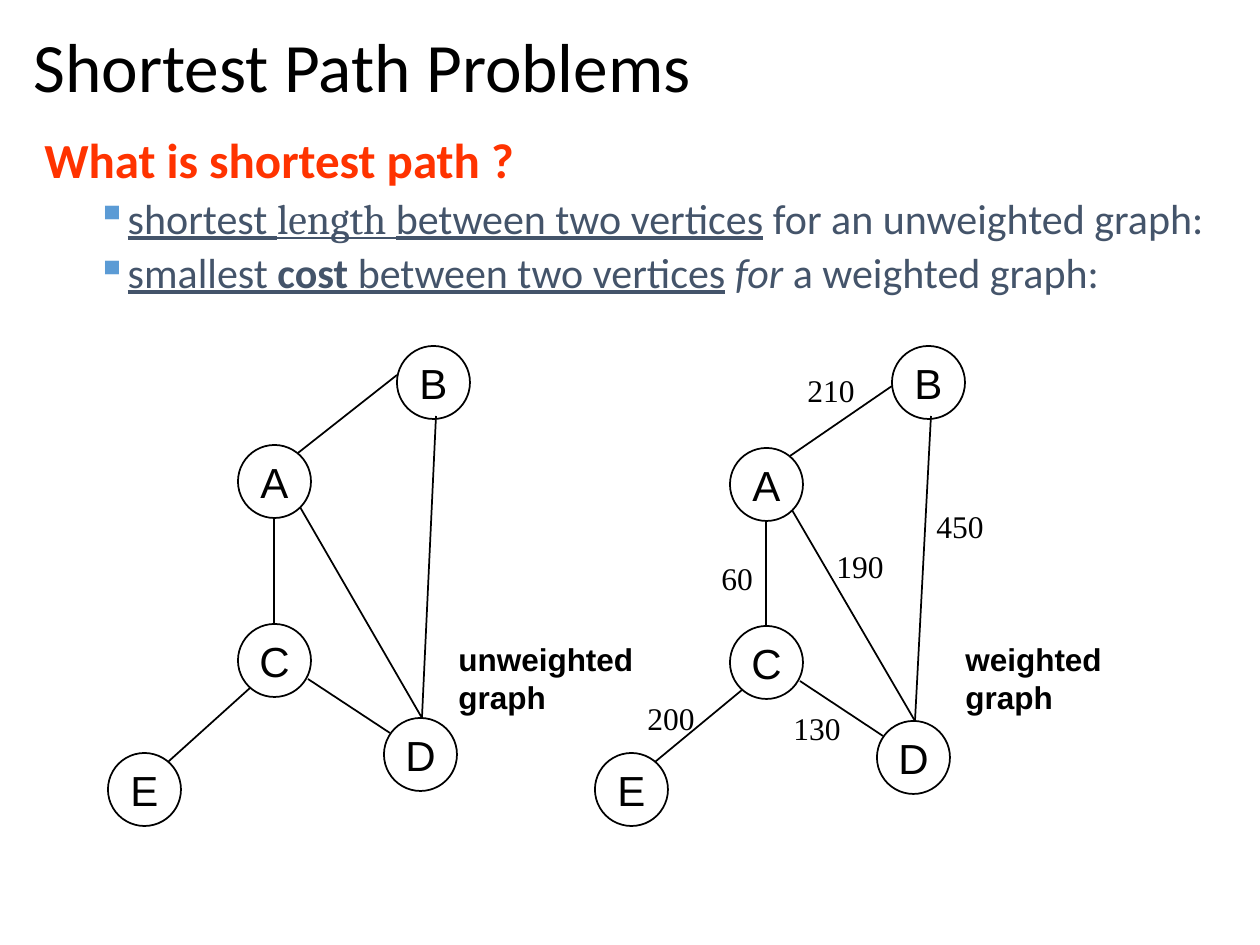
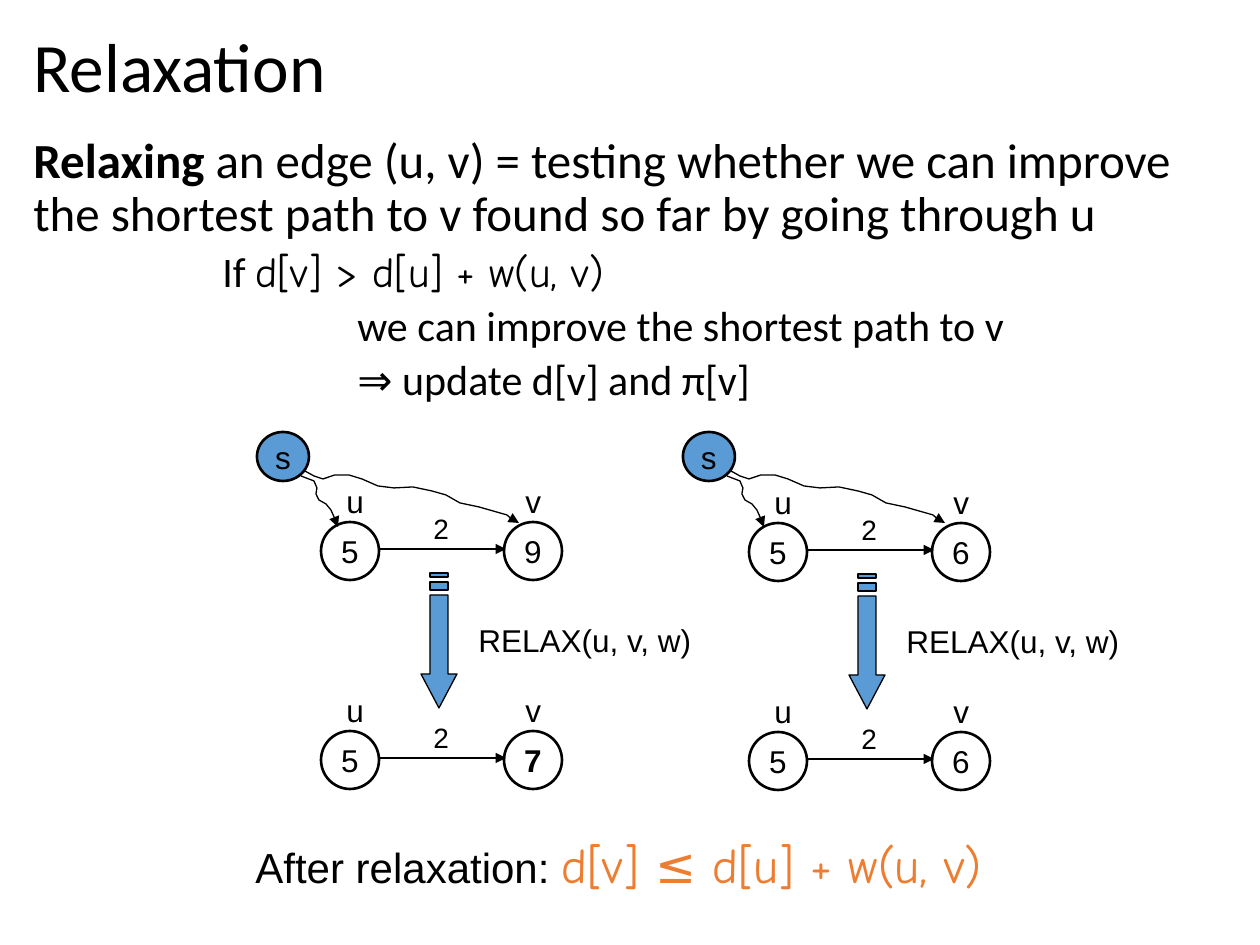
"""Build two slides on shortest paths and edge relaxation."""
from dataclasses import dataclass
from typing import Optional

from lxml.etree import SubElement
from pptx import Presentation
from pptx.dml.color import RGBColor
from pptx.enum.shapes import MSO_CONNECTOR as Connector, MSO_SHAPE as Shape
from pptx.enum.text import MSO_ANCHOR as Anchor, MSO_AUTO_SIZE as AutoSize, PP_ALIGN as Align
from pptx.oxml.ns import qn
from pptx.util import Emu, Pt

EMU_PER_PIXEL = 914400 / 126
Point = tuple[int, int]
Box = tuple[int, int, int, int]


@dataclass(frozen=True)
class Theme:
    black: str = "000000"
    slate: str = "44546A"
    red: str = "FF3300"
    blue: str = "5B9BD5"
    orange: str = "ED7D31"
    heading: str = "Calibri"
    label: str = "Arial"
    number: str = "Times New Roman"
    formula: str = "Comic Neue"
    accent: str = "Cambria"
    title_size: float = 39.6
    lead_size: float = 28
    body_size: float = 24
    label_size: float = 18
    small_size: float = 16
    thin: float = 0.75
    medium: float = 1
    thick: float = 1.5


THEME = Theme()


@dataclass(frozen=True)
class Style:
    face: Optional[str] = None
    size: Optional[float] = None
    color: Optional[str] = None
    bold: Optional[bool] = None
    italic: Optional[bool] = None
    underline: Optional[bool] = None


@dataclass(frozen=True)
class Span:
    text: str
    style: Style = Style()


@dataclass(frozen=True)
class Para:
    spans: list[Span]
    style: Style
    margin: int = 0
    before: float = 0
    line: float = 1
    bullet: bool = False
    align: Optional[Align] = None


@dataclass(frozen=True)
class Graph:
    nodes: dict[str, Point]
    b_port: Point
    caption: str
    caption_box: Box
    weights: tuple[tuple[str, int, int], ...] = ()


@dataclass(frozen=True)
class Panel:
    source: Point
    pair: Point
    before: str
    after: str
    after_bold: bool


NODE_LABEL = Style(THEME.label, THEME.body_size, THEME.black)
LABEL = Style(THEME.label, THEME.label_size, THEME.black)
SMALL_LABEL = Style(THEME.label, THEME.small_size, THEME.black)
CAPTION = Style(THEME.label, THEME.label_size, THEME.black, bold=True)
WEIGHT = Style(THEME.number, THEME.label_size, THEME.black)
TITLE = Style(THEME.heading, THEME.title_size, THEME.black)
LEAD = Style(THEME.heading, THEME.lead_size, THEME.black)
BODY = Style(THEME.heading, THEME.body_size, THEME.black)
QUESTION = Style(THEME.heading, THEME.lead_size, THEME.red, bold=True)
ITEM = Style(THEME.heading, THEME.body_size, THEME.slate)
UNDERLINED = Style(underline=True)
FORMULA = Style(face=THEME.formula)

TITLE_BOX = (21, 23, 1212, 93)
BODY_BOX = (21, 130, 1212, 722)
NODE_SIZE = 73
PAIR_SIZE = 58
PAIR_STEP = 183
ROW_STEP = 209

GRAPHS = [
    Graph({"A": (238, 445), "B": (397, 346), "C": (238, 624), "D": (384, 718), "E": (108, 753)},
          (0, 29), "unweighted graph", (446, 634, 208, 88)),
    Graph({"A": (730, 448), "B": (892, 346), "C": (730, 626), "D": (877, 721), "E": (595, 753)},
          (0, 40), "weighted graph", (953, 634, 198, 88),
          (("200", 635, 693), ("60", 709, 553), ("130", 781, 703),
           ("190", 824, 541), ("450", 924, 501), ("210", 795, 365))),
]
PANELS = [
    Panel((257, 432), (321, 522), "9", "7", True),
    Panel((683, 432), (749, 523), "6", "6", False),
]
SHORT_PATH = [(44, 44), (57, 49), (60, 56), (59, 62), (62, 68), (69, 72), (74, 78), (78, 87), (81, 95)]
LONG_PATH = [(48, 39), (57, 44), (66, 47), (78, 43), (92, 43), (105, 47), (121, 54), (137, 56), (156, 55),
             (175, 59), (189, 63), (203, 71), (222, 75), (250, 83), (258, 90), (262, 91)]


def px(length: float) -> Emu:
    """Turn pixels into EMU."""
    return Emu(round(length * EMU_PER_PIXEL))


def shift(origin: Point, offset: Point) -> Point:
    """Move a point by an offset."""
    return origin[0] + offset[0], origin[1] + offset[1]


def set_font(font, style: Style) -> None:
    """Apply the parts of a style that are given."""
    if style.face:
        font.name = style.face
    if style.size:
        font.size = Pt(style.size)
    if style.color:
        font.color.rgb = RGBColor.from_string(style.color)
    for name in ("bold", "italic", "underline"):
        if getattr(style, name) is not None:
            setattr(font, name, getattr(style, name))


def write(frame, paras: list[Para]) -> None:
    """Fill a text frame with paragraphs."""
    for index, para in enumerate(paras):
        paragraph = frame.add_paragraph() if index else frame.paragraphs[0]
        paragraph.alignment = para.align
        paragraph.line_spacing = para.line
        paragraph.space_before = Pt(para.before)
        properties = paragraph._p.get_or_add_pPr()
        properties.set("marL", str(px(para.margin)))
        properties.set("indent", "0")
        if para.bullet:
            color = SubElement(properties, qn("a:buClr"))
            SubElement(color, qn("a:srgbClr"), val=THEME.blue)
            SubElement(properties, qn("a:buChar"), char="▪")
        set_font(paragraph.font, para.style)
        for span in para.spans:
            run = paragraph.add_run()
            run.text = span.text
            set_font(run.font, span.style)


def add_text(page, box: Box, paras: list[Para], wrap: bool = True, anchor: Anchor = Anchor.TOP) -> None:
    """Add a text box."""
    frame = page.shapes.add_textbox(*map(px, box)).text_frame
    frame.word_wrap = wrap
    frame.auto_size = AutoSize.NONE if wrap else AutoSize.SHAPE_TO_FIT_TEXT
    frame.vertical_anchor = anchor
    write(frame, paras)


def add_label(page, at: Point, size: Point, text: str, style: Style) -> None:
    """Add a one-line label."""
    add_text(page, (*at, *size), [Para([Span(text)], style)], wrap=False)


def outline(line, width: float) -> None:
    """Draw a black line of the given width."""
    line.color.rgb = RGBColor.from_string(THEME.black)
    line.width = Pt(width)


def paint(shape, fill: Optional[str], width: float) -> None:
    """Set fill and outline and drop the shadow."""
    shape.shadow.inherit = False
    if fill:
        shape.fill.solid()
        shape.fill.fore_color.rgb = RGBColor.from_string(fill)
    else:
        shape.fill.background()
    outline(shape.line, width)


def add_arrowhead(shape) -> None:
    """Put a triangle at the end of a line."""
    SubElement(shape._element.spPr.find(qn("a:ln")), qn("a:tailEnd"), type="triangle")


def add_node(page, at: Point, size: Point, text: str, style: Style, width: float,
             fill: Optional[str] = None) -> None:
    """Add a labelled circle."""
    node = page.shapes.add_shape(Shape.OVAL, *map(px, (*at, *size)))
    paint(node, fill, width)
    frame = node.text_frame
    frame.word_wrap = False
    frame.vertical_anchor = Anchor.MIDDLE
    write(frame, [Para([Span(text)], style, align=Align.CENTER)])


def add_edge(page, start: Point, end: Point, width: float, arrow: bool = False) -> None:
    """Add a straight edge."""
    edge = page.shapes.add_connector(Connector.STRAIGHT, *map(px, (*start, *end)))
    outline(edge.line, width)
    if arrow:
        add_arrowhead(edge)
    SubElement(edge._element.spPr, qn("a:effectLst"))


def add_path(page, origin: Point, offsets: list[Point]) -> None:
    """Add a wavy path with an arrowhead."""
    start, *rest = [shift(origin, offset) for offset in offsets]
    builder = page.shapes.build_freeform(*start, scale=EMU_PER_PIXEL)
    builder.add_line_segments(rest, close=False)
    path = builder.convert_to_shape()
    paint(path, None, THEME.thin)
    add_arrowhead(path)


def add_striped_arrow(page, top: Point) -> None:
    """Add a downward arrow with two stripes on its tail."""
    x, y = top
    builder = page.shapes.build_freeform(x + 18, y + 101, scale=EMU_PER_PIXEL)
    builder.add_line_segments([(x + 9, y + 101), (x + 9, y + 22), (x - 9, y + 22),
                               (x - 9, y + 101), (x - 18, y + 101), (x, y + 135)])
    for upper, lower in ((9, 17), (0, 4)):
        builder.move_to(x + 9, y + upper)
        builder.add_line_segments([(x - 9, y + upper), (x - 9, y + lower), (x + 9, y + lower)])
    paint(builder.convert_to_shape(), THEME.blue, THEME.thin)


def add_graph(page, graph: Graph) -> None:
    """Draw a graph with its edges, weights and caption."""
    for name, at in graph.nodes.items():
        add_node(page, at, (NODE_SIZE, NODE_SIZE), name, NODE_LABEL, THEME.medium)
    edges = [("D", (38, 0), "B", (39, 70)), ("A", (60, 8), "B", graph.b_port),
             ("A", (62, 62), "D", (38, 0)), ("C", (36, 1), "A", (36, 73)),
             ("E", (60, 9), "C", (12, 64)), ("C", (70, 55), "D", (6, 15))]
    for first, leave, second, arrive in edges:
        add_edge(page, shift(graph.nodes[first], leave), shift(graph.nodes[second], arrive), THEME.medium)
    for text, left, top in graph.weights:
        add_label(page, (left, top), (29 + 15 * len(text), 50), text, WEIGHT)
    add_text(page, graph.caption_box, [Para([Span(graph.caption)], CAPTION)])


def add_pair(page, at: Point, value: str, bold: bool = False) -> None:
    """Draw the edge from u to v with the estimates in its ends."""
    size = (PAIR_SIZE, PAIR_SIZE)
    add_node(page, at, size, "5", LABEL, THEME.thick)
    add_node(page, shift(at, (PAIR_STEP, 0)), size, value, CAPTION if bold else LABEL, THEME.thick)
    add_edge(page, shift(at, (PAIR_SIZE, 27)), shift(at, (185, 27)), THEME.thick, arrow=True)
    add_label(page, shift(at, (100, -17)), (40, 47), "2", SMALL_LABEL)
    add_label(page, shift(at, (13, -46)), (43, 50), "u", LABEL)
    add_label(page, shift(at, (192, -46)), (42, 50), "v", LABEL)


def add_panel(page, panel: Panel) -> None:
    """Draw one relaxation, before and after."""
    add_pair(page, panel.pair, panel.before)
    add_pair(page, shift(panel.pair, (0, ROW_STEP)), panel.after, panel.after_bold)
    add_striped_arrow(page, shift(panel.pair, (118, 51)))
    add_label(page, shift(panel.pair, (145, 93)), (241, 50), "RELAX(u, v, w)", LABEL)
    add_node(page, panel.source, (52, 49), "s", LABEL, THEME.thick, THEME.blue)
    for offsets in (SHORT_PATH, LONG_PATH):
        add_path(page, panel.source, offsets)


def add_page(deck, title: str, body: list[Para]):
    """Add a slide with its title and body text."""
    page = deck.slides.add_slide(deck.slide_layouts[6])
    add_text(page, TITLE_BOX, [Para([Span(title)], TITLE, line=0.9)], anchor=Anchor.MIDDLE)
    add_text(page, BODY_BOX, body)
    return page


def lead(spans: list[Span], style: Style, margin: int = 0) -> Para:
    """Make the opening paragraph of a body."""
    return Para(spans, style, margin, before=10, line=0.9)


def detail(spans: list[Span], style: Style, margin: int, bullet: bool = False) -> Para:
    """Make a second-level paragraph of a body."""
    return Para(spans, style, margin, before=5, line=0.9, bullet=bullet)


def main() -> None:
    """Build and save the deck."""
    deck = Presentation()
    deck.slide_width, deck.slide_height = px(1260), px(945)
    page = add_page(deck, "Shortest Path Problems", [
        lead([Span("What is shortest path ?")], QUESTION, 11),
        detail([Span("shortest ", UNDERLINED), Span("length ", Style(face=THEME.accent, underline=True)),
                Span("between two vertices", UNDERLINED), Span(" for an unweighted graph:")], ITEM, 63, True),
        detail([Span("smallest ", UNDERLINED), Span("cost", Style(bold=True, underline=True)),
                Span(" between two vertices", UNDERLINED), Span(" for", Style(italic=True)),
                Span(" a weighted graph:")], ITEM, 63, True),
    ])
    for graph in GRAPHS:
        add_graph(page, graph)
    page = add_page(deck, "Relaxation", [
        lead([Span("Relaxing ", Style(bold=True)),
              Span("an edge (u, v) = testing whether we can improve the shortest path to v "
                   "found so far by going through u")], LEAD),
        detail([Span("If "), Span("d[v] > d[u] + w(u, v)", FORMULA)], BODY, 189),
        detail([Span("we can improve the shortest path to v")], BODY, 324),
        detail([Span("⇒ update d[v] and π[v]")], BODY, 324),
    ])
    for panel in PANELS:
        add_panel(page, panel)
    add_text(page, (243, 828, 810, 72), [Para([
        Span("After relaxation: "),
        Span("d[v] ≤ d[u] + w(u, v)", Style(THEME.formula, THEME.lead_size, THEME.orange))], NODE_LABEL)])
    deck.save("out.pptx")


main()
